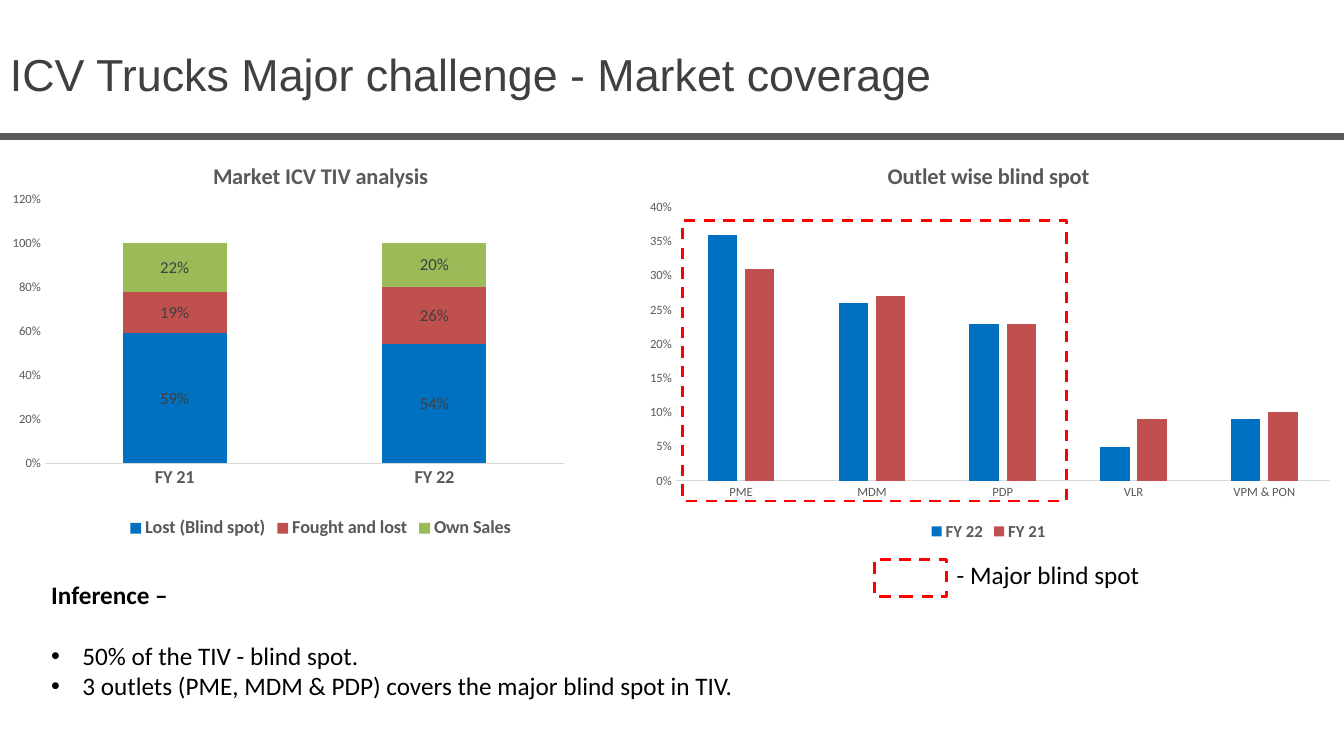
from lxml import etree
from pptx import Presentation
from pptx.chart.data import CategoryChartData
from pptx.dml.color import RGBColor
from pptx.enum.chart import XL_CHART_TYPE, XL_LABEL_POSITION, XL_LEGEND_POSITION, XL_TICK_MARK
from pptx.enum.dml import MSO_LINE
from pptx.enum.shapes import MSO_CONNECTOR, MSO_SHAPE
from pptx.oxml import parse_xml
from pptx.oxml.ns import nsdecls, qn
from pptx.util import Inches, Pt

STACK = XL_CHART_TYPE.COLUMN_STACKED
CLUSTER = XL_CHART_TYPE.COLUMN_CLUSTERED
CENTER = XL_LABEL_POSITION.CENTER
BOTTOM = XL_LEGEND_POSITION.BOTTOM
NO_TICK = XL_TICK_MARK.NONE
DASH = MSO_LINE.DASH
RECT = MSO_SHAPE.RECTANGLE
STRAIGHT = MSO_CONNECTOR.STRAIGHT

BLACK = RGBColor(0x00, 0x00, 0x00)
DARK = RGBColor(0x40, 0x40, 0x40)
GRAY = RGBColor(0x59, 0x59, 0x59)
PALE = RGBColor(0xD9, 0xD9, 0xD9)
BLUE = RGBColor(0x00, 0x70, 0xC0)
BRICK = RGBColor(0xC0, 0x50, 0x4D)
GREEN = RGBColor(0x9B, 0xBB, 0x59)
RED = RGBColor(0xFF, 0x00, 0x00)

TITLE = "ICV Trucks Major challenge - Market coverage"
HEAD = "Inference –"
POINTS = [
    "50% of the TIV - blind spot.",
    "3 outlets (PME, MDM & PDP) covers the major blind spot in TIV.",
]
KEY = "- Major blind spot"
CHARTS = [
    dict(
        kind=STACK, title="Market ICV TIV analysis", box=(0, 1.42, 6.36, 3.97),
        plot=(0.07, 0.14, 0.81, 0.66), gap=150, lap=100, top=1.2, step=0.2,
        cats=["FY 21", "FY 22"], cat_size=13, cat_bold=True, key_size=13, labels=True,
        rows=[
            ("Lost (Blind spot)", [0.59, 0.54], BLUE),
            ("Fought and lost", [0.19, 0.26], BRICK),
            ("Own Sales", [0.22, 0.20], GREEN),
        ],
    ),
    dict(
        kind=CLUSTER, title="Outlet wise blind spot", box=(6.28, 1.42, 7.05, 3.99),
        plot=(0.06, 0.16, 0.92, 0.68), gap=219, lap=-27, top=0.4, step=0.05,
        cats=["PME", "MDM", "PDP", "VLR", "VPM & PON"], cat_size=9, cat_bold=False,
        key_size=12, labels=False,
        rows=[
            ("FY 22", [0.36, 0.26, 0.23, 0.05, 0.09], BLUE),
            ("FY 21", [0.31, 0.27, 0.23, 0.09, 0.10], BRICK),
        ],
    ),
]
FRAMES = [(6.77, 2.19, 3.81, 2.78), (8.67, 5.55, 0.72, 0.37)]

deck = Presentation()
deck.slide_width = Inches(13.33)
deck.slide_height = Inches(7.5)
slide = deck.slides.add_slide(deck.slide_layouts[6])
shapes = slide.shapes


def style(font, size, color=GRAY, bold=False, face="Calibri"):
    font.name = face
    font.size = Pt(size)
    font.bold = bold
    font.color.rgb = color


def add_text(text, box=None, frame=None, size=18, color=BLACK, bold=False,
             face="Calibri", wrap=True, bullet=False, before=0):
    if frame is None:
        frame = shapes.add_textbox(*map(Inches, box)).text_frame
        frame.word_wrap = wrap
        para = frame.paragraphs[0]
    else:
        para = frame.add_paragraph()
    if bullet:
        props = para._p.get_or_add_pPr()
        props.set("marL", str(Inches(0.31)))
        props.set("indent", str(-Inches(0.31)))
        etree.SubElement(props, qn("a:buFont")).set("typeface", "Arial")
        etree.SubElement(props, qn("a:buChar")).set("char", "•")
    if before:
        para.space_before = Pt(before)
    run = para.add_run()
    run.text = text
    style(run.font, size, color, bold, face)
    return frame


def place_plot(chart, spots):
    area = chart._chartSpace.chart.plotArea
    for old in area.findall(qn("c:layout")):
        area.remove(old)
    sides = "".join(f'<c:{tag} val="{val}"/>' for tag, val in zip("xywh", spots))
    area.insert(0, parse_xml(
        f'<c:layout {nsdecls("c")}><c:manualLayout><c:layoutTarget val="inner"/>'
        f'<c:xMode val="edge"/><c:yMode val="edge"/>{sides}</c:manualLayout></c:layout>'))


def draw_chart(item):
    data = CategoryChartData(number_format="0%")
    data.categories = item["cats"]
    for name, vals, _ in item["rows"]:
        data.add_series(name, vals)
    chart = shapes.add_chart(item["kind"], *map(Inches, item["box"]), data).chart
    style(chart.font, 10, BLACK)
    chart.has_title = True
    title = chart.chart_title
    title.include_in_layout = False
    title.text_frame.text = item["title"]
    style(title.text_frame.paragraphs[0].runs[0].font, 16, bold=True)
    chart.has_legend = True
    chart.legend.position = BOTTOM
    chart.legend.include_in_layout = False
    style(chart.legend.font, item["key_size"], bold=True)

    cat, val = chart.category_axis, chart.value_axis
    for axis in (cat, val):
        axis.major_tick_mark = axis.minor_tick_mark = NO_TICK
        axis.has_major_gridlines = False
    style(cat.tick_labels.font, item["cat_size"], bold=item["cat_bold"])
    cat.format.line.color.rgb = PALE
    cat.format.line.width = Pt(0.75)
    style(val.tick_labels.font, 9)
    val.tick_labels.number_format = "0%"
    val.tick_labels.number_format_is_linked = False
    val.format.line.fill.background()
    val.minimum_scale = 0
    val.maximum_scale = item["top"]
    val.major_unit = item["step"]

    plot = chart.plots[0]
    plot.gap_width = item["gap"]
    plot.overlap = item["lap"]
    plot.vary_by_categories = False
    for series, (_, _, color) in zip(plot.series, item["rows"]):
        series.format.fill.solid()
        series.format.fill.fore_color.rgb = color
        if item["labels"]:
            labels = series.data_labels
            labels.show_value = True
            labels.position = CENTER
            labels.number_format = "0%"
            labels.number_format_is_linked = False
            style(labels.font, 12, DARK)
    place_plot(chart, item["plot"])


rule = shapes.add_connector(STRAIGHT, 0, Inches(1.35), deck.slide_width, Inches(1.35))
rule.line.color.rgb = GRAY
rule.line.width = Pt(5)
etree.SubElement(rule._element.spPr, qn("a:effectLst"))

add_text(TITLE, (0, 0.41, 10.26, 0.64), size=32, color=DARK, face="Arial")
notes = add_text(HEAD, (0.41, 5.7, 7.04, 1.31), bold=True, wrap=False)
for num, point in enumerate(POINTS):
    add_text(point, frame=notes, bullet=True, before=0 if num else 22)

for item in CHARTS:
    draw_chart(item)

for box in FRAMES:
    mark = shapes.add_shape(RECT, *map(Inches, box))
    mark.shadow.inherit = False
    mark.fill.background()
    mark.line.color.rgb = RED
    mark.line.width = Pt(2)
    mark.line.dash_style = DASH

add_text(KEY, (9.39, 5.5, 3.53, 0.4))

deck.save("out.pptx")
